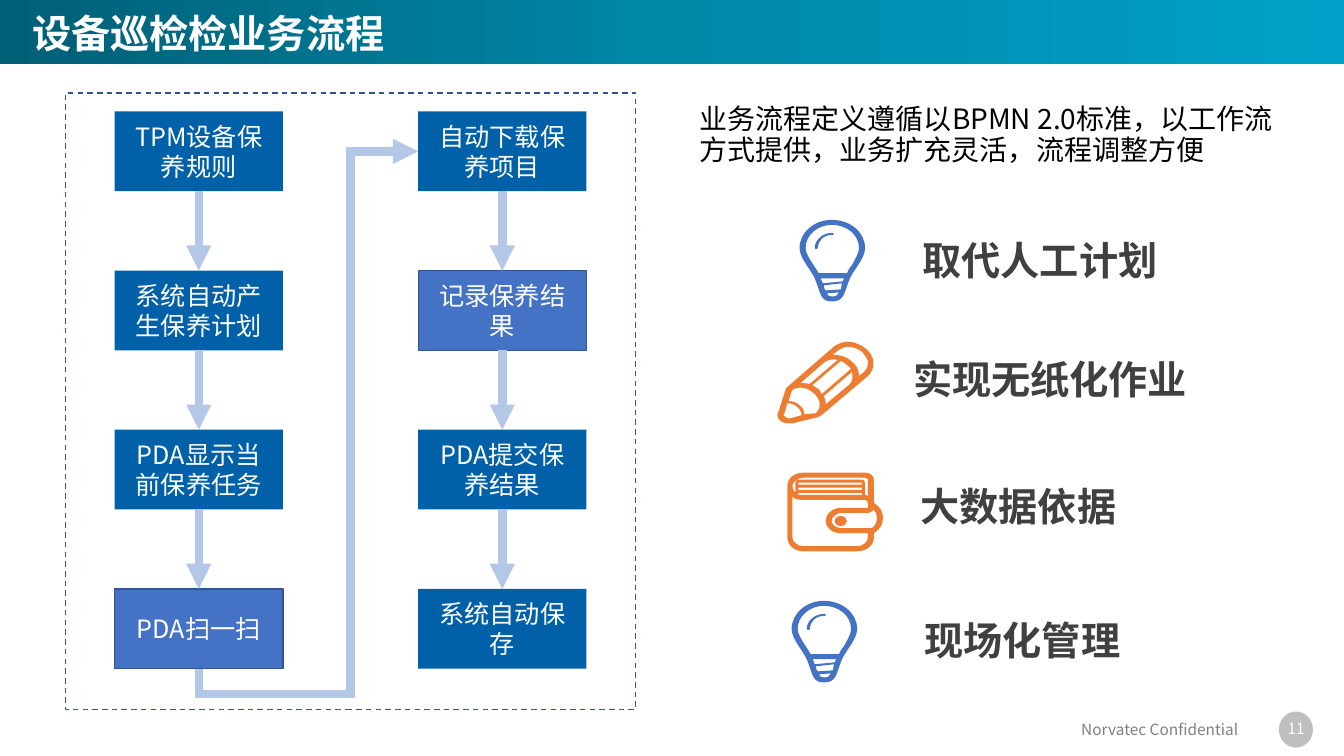
from copy import deepcopy
from itertools import pairwise

from lxml import etree
from pptx import Presentation
from pptx.dml.color import RGBColor
from pptx.enum.dml import MSO_LINE
from pptx.enum.shapes import MSO_CONNECTOR, MSO_SHAPE
from pptx.enum.text import MSO_ANCHOR, PP_ALIGN
from pptx.oxml.ns import qn
from pptx.util import Cm, Pt

RECTANGLE, OVAL = MSO_SHAPE.RECTANGLE, MSO_SHAPE.OVAL
STRAIGHT, ELBOW = MSO_CONNECTOR.STRAIGHT, MSO_CONNECTOR.ELBOW
LEFT, CENTER = PP_ALIGN.LEFT, PP_ALIGN.CENTER
TOP, MIDDLE = MSO_ANCHOR.TOP, MSO_ANCHOR.MIDDLE
DASH = MSO_LINE.DASH
FONT = "Noto Sans CJK SC"
BLUE, INDIGO, NAVY, ORANGE = "0060A8", "4472C4", "325491", "ED7D31"

FLOW = [
    [("TPM设备保养规则", False), ("系统自动产生保养计划", False),
     ("PDA显示当前保养任务", False), ("PDA扫一扫", True)],
    [("自动下载保养项目", False), ("记录保养结果", True),
     ("PDA提交保养结果", False), ("系统自动保存", False)],
]

# In each outline a pair is a corner and six numbers are a cubic curve.
BULB = [
    [(32, 0), (15, 0, 0, 12, 0, 28), (0, 38, 11, 49, 15, 58), (21, 72, 20, 81, 32, 81),
     (45, 81, 44, 72, 50, 58), (54, 49, 65, 38, 65, 28), (65, 12, 50, 0, 32, 0)],
    [(41, 69), (26, 70), (25, 69, 24, 68, 24, 65), (42, 63)],
    [(23, 63), (21, 58), (44, 58), (43, 61)],
    [(32, 76), (29, 76, 28, 75, 27, 73), (39, 72), (38, 75, 36, 76, 32, 76)],
    [(47, 53), (19, 53), (18, 50, 15, 48, 14, 45), (10, 39, 6, 33, 6, 28),
     (6, 15, 18, 5, 32, 5), (47, 5, 59, 15, 59, 28), (59, 33, 55, 39, 52, 45),
     (49, 48, 48, 51, 47, 53)],
]
GLINT = [
    [(32, 13), (23, 13, 15, 20, 15, 28), (15, 29, 15, 29, 16, 29), (17, 29, 18, 29, 18, 28),
     (18, 21, 24, 15, 32, 15), (33, 15, 34, 15, 34, 14), (34, 13, 33, 13, 32, 13)],
]
PENCIL = [
    [(88, 7), (83, 3, 76, 0, 70, 0), (65, 0, 60, 2, 56, 5), (11, 44), (9, 45, 9, 46, 8, 48),
     (1, 70), (0, 72), (0, 78, 5, 81, 11, 81), (15, 81), (40, 75), (41, 74, 43, 74, 45, 72),
     (90, 34), (98, 26, 97, 15, 88, 7)],
    [(48, 60), (48, 58, 47, 56, 46, 54), (74, 30), (75, 34, 75, 40, 71, 43), (48, 62)],
    [(44, 52), (43, 50, 42, 48, 41, 47), (39, 46, 37, 45, 35, 43), (63, 19),
     (65, 20, 67, 21, 69, 23), (71, 24, 72, 26, 73, 27)],
    [(32, 42), (29, 41, 26, 41, 23, 41), (46, 21), (49, 18, 55, 17, 60, 18)],
    [(13, 76), (11, 76), (9, 76, 6, 74, 6, 72), (7, 71), (10, 61), (13, 61, 17, 62, 20, 65),
     (23, 67, 24, 71, 24, 73)],
    [(27, 72), (27, 69, 25, 65, 22, 63), (19, 60, 15, 59, 11, 59), (14, 50), (15, 48),
     (20, 44, 30, 45, 36, 51), (43, 57, 44, 65, 39, 70), (38, 71)],
    [(86, 30), (81, 34), (81, 27, 78, 23, 73, 19), (69, 15, 62, 13, 55, 13), (61, 8),
     (63, 7, 67, 5, 70, 5), (75, 5, 80, 7, 84, 10), (87, 14, 90, 17, 90, 21),
     (90, 24, 89, 27, 86, 30)],
]
WALLET = [
    [(86, 30), (86, 7), (86, 3, 82, 0, 77, 0), (16, 0), (7, 0, 0, 6, 0, 13), (0, 64),
     (0, 72, 7, 78, 16, 78), (69, 78), (79, 78, 86, 72, 86, 64), (86, 60),
     (98, 53, 98, 37, 86, 30)],
    [(16, 5), (77, 5), (79, 5, 80, 6, 80, 7), (80, 23), (77, 22), (77, 10),
     (77, 8, 76, 7, 74, 7), (11, 7), (10, 7, 8, 8, 8, 10), (8, 20), (7, 18, 5, 16, 5, 13),
     (5, 9, 11, 5, 16, 5)],
    [(74, 12), (11, 12), (11, 10), (74, 10)],
    [(74, 15), (74, 17), (11, 17), (11, 15)],
    [(74, 20), (74, 22), (11, 22), (11, 20)],
    [(80, 64), (80, 69, 75, 73, 69, 73), (16, 73), (11, 73, 5, 69, 5, 64), (5, 24),
     (8, 27, 12, 27, 16, 27), (77, 27), (79, 27, 80, 29, 80, 30), (80, 35), (53, 35),
     (45, 35, 38, 41, 38, 48), (38, 55, 45, 60, 53, 60), (80, 60)],
    [(84, 55), (53, 55), (49, 55, 44, 52, 44, 48), (44, 44, 49, 40, 53, 40), (80, 40),
     (82, 40, 83, 39, 86, 37), (88, 39, 89, 42, 89, 45), (89, 49, 87, 53, 84, 55)],
]


def rgb(value):
    """Turn a hex string into a colour."""
    return RGBColor.from_string(value)


def write(box, text, size=18, color="FFFFFF", bold=False, align=CENTER, anchor=MIDDLE,
          spacing=1.0, wrap=True):
    """Put one formatted paragraph into a shape or text box."""
    box.text_frame.word_wrap = wrap
    box.text_frame.vertical_anchor = anchor
    para = box.text_frame.paragraphs[0]
    para.alignment, para.line_spacing = align, spacing
    span = para.add_run()
    span.text = text
    span.font.size, span.font.bold = Pt(size), bold
    span.font.color.rgb = rgb(color)
    span.font.name = FONT
    etree.SubElement(span.font._element, qn("a:ea"), typeface=FONT)


def add_label(page, area, text, **style):
    """Add a text box in the given area, in centimetres."""
    write(page.shapes.add_textbox(*map(Cm, area)), text, **style)


def style_shape(shape, fill=None, line=None):
    """Set fill and outline, without shadow."""
    shape.shadow.inherit = False
    if fill:
        shape.fill.solid()
        shape.fill.fore_color.rgb = rgb(fill)
    else:
        shape.fill.background()
    if line:
        shape.line.color.rgb, shape.line.width = rgb(line), Pt(1)
    else:
        shape.line.fill.background()
    return shape


def add_banner(page, area, title):
    """Draw the gradient title bar."""
    left, top, width, height = area
    bar = style_shape(page.shapes.add_shape(RECTANGLE, *map(Cm, area)))
    bar.fill.gradient()
    bar.fill.gradient_angle = 0
    stops = bar._element.xpath(".//a:gsLst")[0]
    stops.append(deepcopy(stops[0]))
    for stop, position, color in zip(bar.fill.gradient_stops, (0, 0.5, 1),
                                     ("005F76", "0088A9", "00A1C8")):
        stop.position, stop.color.rgb = position, rgb(color)
    add_label(page, (left + 0.56, top + 0.23, 9.5, 1.32), title, size=28, bold=True,
              align=LEFT, spacing=0.9, wrap=False)


def add_footer(page, area, note, number):
    """Draw the confidentiality note and the page number in its disc."""
    left, top, width, height = area
    style_shape(page.shapes.add_shape(OVAL, *map(Cm, (left + 6.25, top, 0.86, 0.91))), "BFBFBF")
    add_label(page, (left + 5.34, top + 0.06, 2.69, 0.71), number, size=11)
    add_label(page, (left, top + 0.07, 6.5, 0.76), note, size=11, color="808080")


def add_arrow(page, kind, start, start_side, end, end_side):
    """Join two boxes with a thick arrow."""
    arrow = page.shapes.add_connector(kind, 0, 0, 0, 0)
    arrow.begin_connect(start, start_side)
    arrow.end_connect(end, end_side)
    arrow.line.color.rgb, arrow.line.width = rgb("B4C7E7"), Pt(6)
    properties = arrow._element.spPr
    outline = properties.find(qn("a:ln"))
    etree.SubElement(outline, qn("a:miter"), lim="800000")
    etree.SubElement(outline, qn("a:tailEnd"), type="triangle")
    etree.SubElement(properties, qn("a:effectLst"))
    return arrow


def route_under(arrow):
    """Lead an elbow arrow down, right and up to the next column."""
    across, rise = arrow.width, arrow.height
    center_x, center_y = arrow.left + across // 2, arrow.top + rise // 2
    arrow.left, arrow.top = center_x - rise // 2, center_y - across // 2
    arrow.width, arrow.height = rise, across
    arrow.rotation = 90
    transform = arrow._element.spPr.find(qn("a:xfrm"))
    transform.set("flipH", "1")
    transform.set("flipV", "1")
    geometry = arrow._element.spPr.find(qn("a:prstGeom"))
    geometry.set("prst", "bentConnector4")
    guides = geometry.find(qn("a:avLst"))
    for name, value in (("adj1", -4900), ("adj2", 69200)):
        etree.SubElement(guides, qn("a:gd"), name=name, fmla=f"val {value}")


def add_flow(page, area):
    """Draw the two columns of steps, their dashed frame and the arrows."""
    left, top, width, height = area
    columns = []
    for column, steps in enumerate(FLOW):
        boxes = []
        for row, (text, manual) in enumerate(steps):
            place = (left + 1.24 + 7.65 * column, top + 0.47 + 4.01 * row, 4.24, 2.01)
            box = page.shapes.add_shape(RECTANGLE, *map(Cm, place))
            style_shape(box, INDIGO if manual else BLUE, NAVY if manual else None)
            write(box, text)
            boxes.append(box)
        columns.append(boxes)
    border = style_shape(page.shapes.add_shape(RECTANGLE, *map(Cm, area)), line=NAVY)
    border.line.dash_style = DASH
    for boxes in columns:
        for upper, lower in pairwise(boxes):
            add_arrow(page, STRAIGHT, upper, 2, lower, 0)
    route_under(add_arrow(page, ELBOW, columns[0][-1], 2, columns[1][0], 1))


def vertices(outline, unit):
    """List every corner and curve handle of an outline, scaled."""
    return [(part[i] * unit, part[i + 1] * unit)
            for part in outline for i in range(0, len(part), 2)]


def bend(shape, outlines):
    """Merge each three lines that stand for a curve into one curve."""
    lines = iter(shape._element.xpath(".//a:lnTo"))
    for outline in outlines:
        for part in outline[1:]:
            run = [next(lines) for _ in range(len(part) // 2)]
            if len(run) == 3:
                curve = etree.Element(qn("a:cubicBezTo"))
                run[0].addprevious(curve)
                for line in run:
                    curve.append(line[0])
                    line.getparent().remove(line)


def add_icon(page, left, top, color, pieces, dot=None):
    """Draw an icon from outlines on a grid of 0.01 inch."""
    unit = Cm(2.54) / 100
    icon = page.shapes.add_group_shape() if dot or len(pieces) > 1 else page
    if dot:
        x, y, width, height = (round(value * unit) for value in dot)
        style_shape(icon.shapes.add_shape(OVAL, Cm(left) + x, Cm(top) + y, width, height), color)
    for outlines in pieces:
        first, *holes = [vertices(outline, unit) for outline in outlines]
        builder = icon.shapes.build_freeform(*first[0])
        builder.add_line_segments(first[1:])
        for hole in holes:
            builder.move_to(*hole[0])
            builder.add_line_segments(hole[1:])
        shape = style_shape(builder.convert_to_shape(Cm(left), Cm(top)), color)
        bend(shape, outlines)


def add_benefits(page, area):
    """Draw the introduction and the four benefits with icons."""
    left, top, width, height = area
    add_label(page, (left, top, width, 2.21),
              "业务流程定义遵循以BPMN 2.0标准，以工作流方式提供，业务扩充灵活，流程调整方便",
              size=20, color="000000", align=LEFT, anchor=TOP, spacing=0.9)
    bulb = (BULB, GLINT)
    benefits = [
        ("取代人工计划", 5.62, 3.05, 2.77, 3.0, INDIGO, bulb, None),
        ("实现无纸化作业", 5.38, 6.05, 2.21, 6.07, ORANGE, (PENCIL,), None),
        ("大数据依据", 5.57, 9.25, 2.46, 9.37, ORANGE, (WALLET,), (47, 43, 12, 10)),
        ("现场化管理", 5.67, 12.62, 2.57, 12.6, INDIGO, bulb, None),
    ]
    for text, text_x, text_y, icon_x, icon_y, color, pieces, dot in benefits:
        add_icon(page, left + icon_x, top + icon_y, color, pieces, dot)
        add_label(page, (left + text_x, top + text_y, 8.5, 1.7), text, size=28,
                  color="404040", bold=True, align=LEFT, anchor=TOP, spacing=1.2)


def main():
    """Build the slide and save it."""
    deck = Presentation()
    deck.slide_width, deck.slide_height = Cm(33.87), Cm(19.05)
    page = deck.slides.add_slide(deck.slide_layouts[6])
    add_banner(page, (0, 0, 33.87, 1.62), "设备巡检检业务流程")
    add_footer(page, (25.98, 17.93, 8.02, 0.91), "Norvatec Confidential", "11")
    add_flow(page, (1.65, 2.34, 14.37, 15.54))
    add_benefits(page, (17.38, 2.54, 15.65, 14.7))
    deck.save("out.pptx")


if __name__ == "__main__":
    main()
